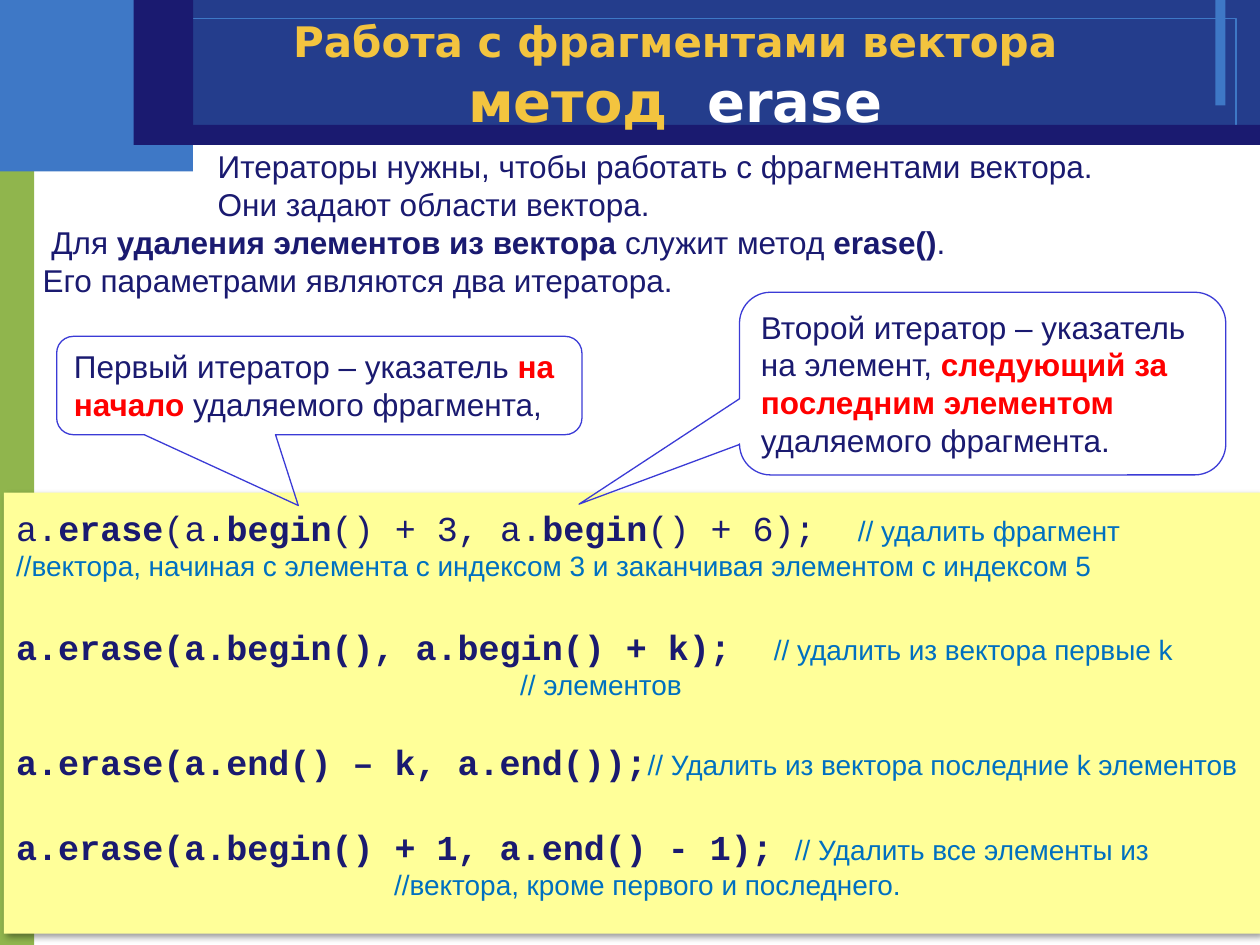
from lxml.etree import SubElement
from pptx import Presentation
from pptx.dml.color import RGBColor
from pptx.enum.shapes import MSO_SHAPE
from pptx.enum.text import MSO_ANCHOR, PP_ALIGN
from pptx.oxml.ns import qn
from pptx.util import Pt

NAVY, BLUE, SKY, GREEN = "1A1A70", "243D8C", "3E78C6", "90B54D"
GOLD, WHITE, RED, COMMENT = "F3C43F", "FFFFFF", "FF0000", "0070C0"
YELLOW, OUTLINE = "FFFF99", "3B3BD6"


def rgb(value):
    return RGBColor.from_string(value)


def add_box(s, box, fill=None, line=None, width=0, kind=MSO_SHAPE.RECTANGLE):
    sp = s.shapes.add_shape(kind, *map(Pt, box))
    sp.shadow.inherit = False
    if fill:
        sp.fill.solid()
        sp.fill.fore_color.rgb = rgb(fill)
    else:
        sp.fill.background()
    if line:
        sp.line.color.rgb = rgb(line)
        sp.line.width = Pt(width)
    else:
        sp.line.fill.background()
    return sp


def add_text(s, box):
    tf = s.shapes.add_textbox(*map(Pt, box)).text_frame
    tf.word_wrap = True
    return tf


def next_paragraph(tf):
    first = tf.paragraphs[0]
    return tf.add_paragraph() if first.runs else first


def set_font(font, size, color, name="Arial", bold=None):
    font.size, font.name, font.bold = Pt(size), name, bold
    font.color.rgb = rgb(color)


def add_runs(p, text, accent=None):
    """Text between asterisks is bold, in the accent colour if there is one."""
    for i, part in enumerate(text.split("*")):
        if part:
            r = p.add_run()
            r.text = part
            r.font.bold = i % 2 == 1
            if accent and i % 2:
                r.font.color.rgb = rgb(accent)


def set_indent(p, left):
    p._p.get_or_add_pPr().set("marL", str(Pt(left)))


def set_tab(p, pos):
    tabs = SubElement(p._p.get_or_add_pPr(), qn("a:tabLst"))
    SubElement(tabs, qn("a:tab"), pos=str(Pt(pos)), algn="l")


def add_drop_shadow(sp):
    effects = sp._element.spPr.find(qn("a:effectLst"))
    shadow = SubElement(effects, qn("a:outerShdw"), blurRad=str(Pt(4)),
                        dist=str(Pt(3)), dir=str(45 * 60000), algn="tl", rotWithShape="0")
    color = SubElement(shadow, qn("a:srgbClr"), val="000000")
    SubElement(color, qn("a:alpha"), val="40000")


def add_frame(s, width, height):
    add_box(s, (0, 77, 19.6, height - 77), GREEN)
    add_box(s, (0, 0, 110.3, 98), SKY)
    add_box(s, (110.3, 0, width - 110.3, 82.8), BLUE)
    add_box(s, (694.5, 0, 5.8, 60.2), SKY)
    add_box(s, (14.4, 10.5, 691.9, 61.2), line=SKY)
    add_box(s, (93.6, 71.4, width - 93.6, 11.4), NAVY)
    add_box(s, (76.4, 0, 34, 82.8), NAVY)


def add_title(s, box):
    tf = add_text(s, box)
    tf.margin_top = tf.margin_bottom = 0
    lines = [(24, [("Работа с фрагментами вектора", GOLD)]),
             (32, [("метод ", GOLD), (" erase", WHITE)])]
    for size, parts in lines:
        p = next_paragraph(tf)
        p.alignment = PP_ALIGN.CENTER
        for text, color in parts:
            r = p.add_run()
            r.text = text
            set_font(r.font, size, color, "DejaVu Sans", True)


def add_intro(s, box):
    tf = add_text(s, box)
    lines = [(100, "Итераторы нужны, чтобы работать с фрагментами вектора."),
             (100, "Они задают области вектора."),
             (5, "Для *удаления элементов из вектора* служит метод *erase()*."),
             (0, "Его параметрами являются два итератора.")]
    for indent, text in lines:
        p = next_paragraph(tf)
        set_indent(p, indent)
        set_font(p.font, 18, NAVY)
        add_runs(p, text)


def add_code(s, box):
    sp = add_box(s, box, YELLOW)
    add_drop_shadow(sp)
    tf = sp.text_frame
    tf.word_wrap = True
    tf.vertical_anchor = MSO_ANCHOR.TOP
    tf.margin_top = Pt(8)
    # space before, code, comment tab, comment, indent of its second line, second line
    rows = [
        (0, "a.*erase*(a.*begin*() + 3, a.*begin*() + 6);", 481, "// удалить фрагмент",
         0, "//вектора, начиная с элемента с индексом 3 и заканчивая элементом с индексом 5"),
        (25, "*a.erase(a.begin(), a.begin() + k);*", 433, "// удалить из вектора первые k",
         288, "// элементов"),
        (22, "*a.erase(a.end() – k, a.end());*", None,
         "// Удалить из вектора последние k элементов", 0, None),
        (25, "*a.erase(a.begin() + 1, a.end() - 1);*", 445, "// Удалить все элементы из",
         216, "//вектора, кроме первого и последнего."),
    ]
    for gap, code, tab, comment, indent, rest in rows:
        p = next_paragraph(tf)
        p.alignment = PP_ALIGN.LEFT
        p.space_before = Pt(gap)
        if tab:
            set_tab(p, tab)
        set_font(p.font, 20, NAVY, "Courier New")
        add_runs(p, code)
        for r in p.runs:
            set_font(r.font, 20, NAVY, "Courier New", r.font.bold)
        r = p.add_run()
        r.text = ("\t" if tab else "") + comment
        set_font(r.font, 16, COMMENT, bold=False)
        if rest:
            p = tf.add_paragraph()
            p.alignment = PP_ALIGN.LEFT
            set_indent(p, indent)
            set_font(p.font, 16, COMMENT)
            add_runs(p, rest)


def add_callout(s, box, tip, text):
    """The tip is given as shares of the box size, from its centre."""
    sp = add_box(s, box, line=OUTLINE, width=0.75, kind=MSO_SHAPE.ROUNDED_RECTANGULAR_CALLOUT)
    for i, value in enumerate((*tip, 0.17)):
        sp.adjustments[i] = value
    tf = sp.text_frame
    tf.word_wrap = True
    tf.vertical_anchor = MSO_ANCHOR.TOP
    p = tf.paragraphs[0]
    p.alignment = PP_ALIGN.LEFT
    set_font(p.font, 18, NAVY)
    add_runs(p, text, RED)


def main():
    prs = Presentation()
    prs.slide_width, prs.slide_height = Pt(720), Pt(540)
    s = prs.slides.add_slide(prs.slide_layouts[6])
    add_frame(s, 720, 540)
    add_title(s, (76.3, 9, 619.2, 66))
    add_intro(s, (17.3, 80.6, 699.8, 94.3))
    add_code(s, (2.2, 281.5, 717.8, 252))
    add_callout(s, (32.4, 192.2, 300.2, 56.2), (-0.04, 1.22),
                "Первый итератор – указатель *на начало* удаляемого фрагмента,")
    add_callout(s, (422.6, 167, 277.9, 104.4), (-0.83, 0.66),
                "Второй итератор – указатель на элемент, "
                "*следующий за последним элементом* удаляемого фрагмента.")
    prs.save("out.pptx")


if __name__ == "__main__":
    main()
